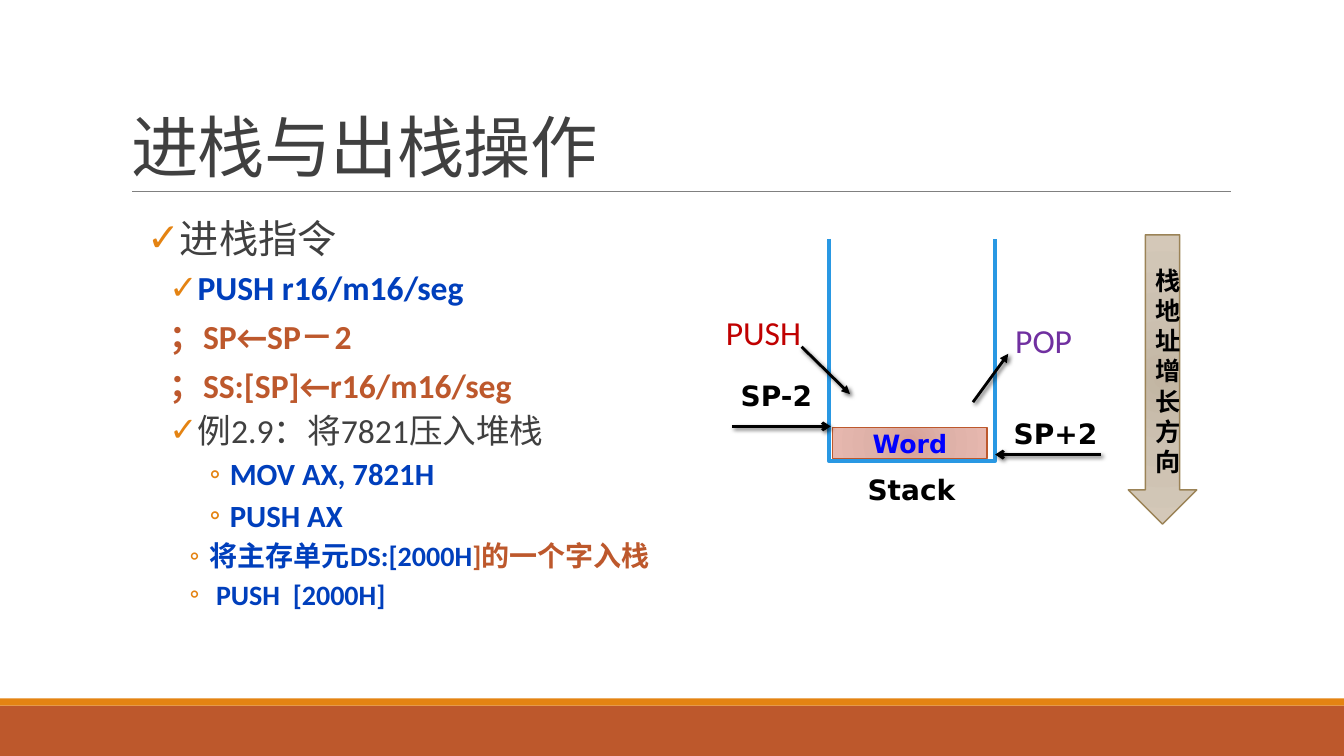
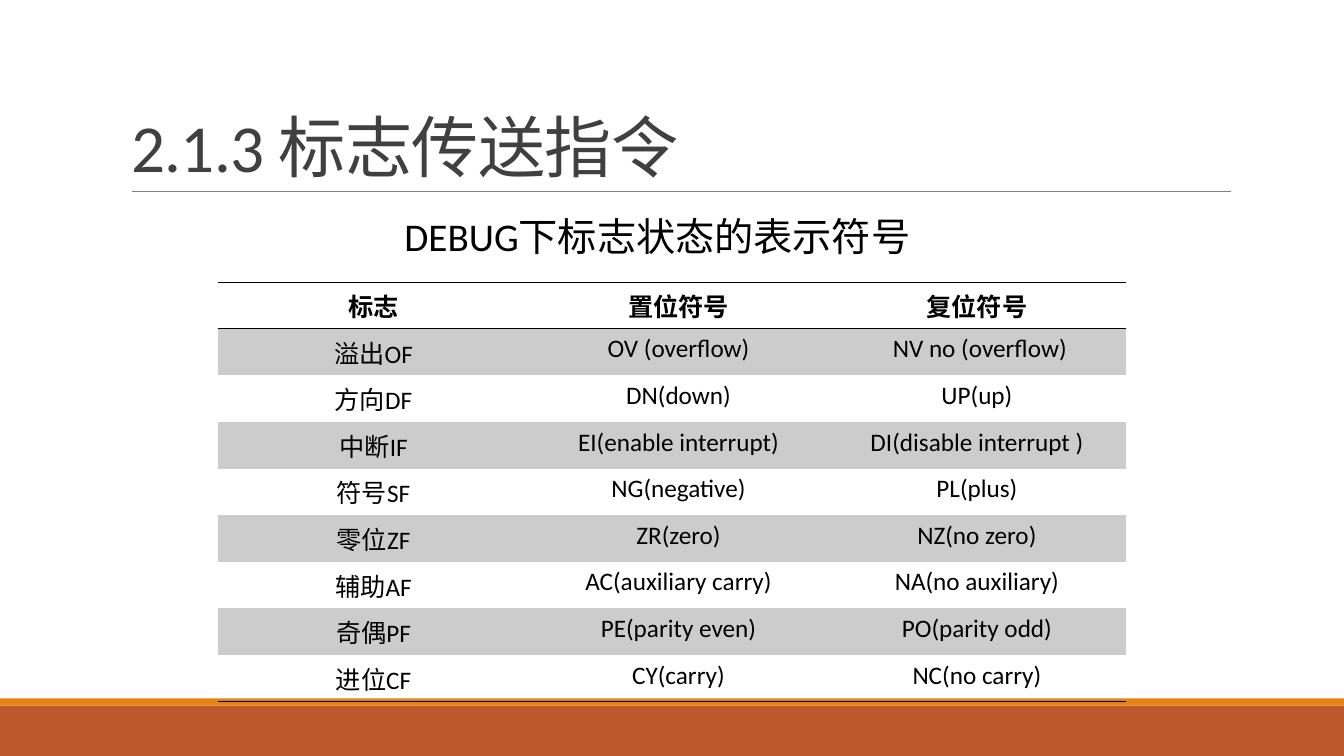
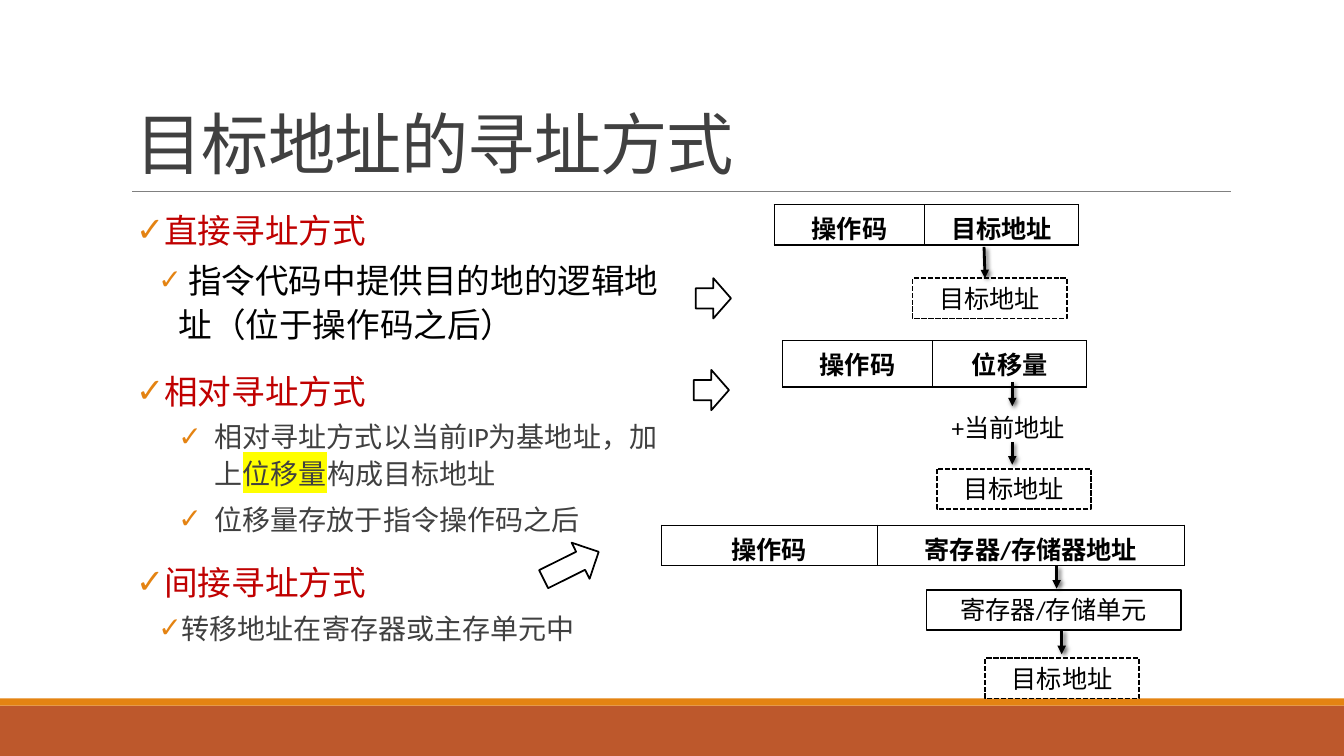
from pptx import Presentation
from pptx.dml.color import RGBColor
from pptx.enum.dml import MSO_LINE
from pptx.enum.shapes import MSO_CONNECTOR as CONN, MSO_SHAPE as SHAPE
from pptx.enum.text import MSO_ANCHOR as ANCHOR, MSO_AUTO_SIZE as AUTO, PP_ALIGN as ALIGN
from pptx.oxml import parse_xml
from pptx.oxml.ns import nsdecls, qn
from pptx.util import Inches, Pt

W, H = 13.33, 7.5
BLACK, WHITE = RGBColor(0, 0, 0), RGBColor(255, 255, 255)
RUST, ORANGE = RGBColor(0xBD, 0x58, 0x2C), RGBColor(0xE4, 0x83, 0x12)
DARK, GRAY, BAND = RGBColor(64, 64, 64), RGBColor(128, 128, 128), RGBColor(204, 204, 204)
NAVY, BLUE, SKY = RGBColor(0, 0x3F, 0xBC), RGBColor(0, 0, 255), RGBColor(0x29, 0x98, 0xE3)
RED, PURPLE = RGBColor(0xC0, 0, 0), RGBColor(0x70, 0x30, 0xA0)
TAN, YELLOW = RGBColor(0x9B, 0x83, 0x57), RGBColor(255, 255, 0)
PINK_FADE = ("D7A197", "DEB1A8", "E6B7AE")
TAN_FADE = ("C2B5A2", "CCC1B1", "D4C8B8")
SANS, MONO = "Calibri", "DejaVu Sans"
NO_GRID = "{2D5ABB26-0587-4C30-8999-92F81FD0307C}"

HEAD = dict(left=0.1, hang=0.1, before=12, after=2, bullet="✓")
SUB = dict(left=0.42, hang=0.2, before=2, after=4, bullet="✓")
SUB_CODE = SUB | dict(before=5)
EFFECT = dict(left=0.22, hang=0, before=5, after=4, bullet=None)
NOTE = SUB | dict(left=0.62, bullet="◦")
CODE = SUB | dict(left=0.82, bullet="◦")
DETAIL = SUB | dict(left=0.78, hang=0.36)


def look(size, color, bold=False, **more):
    return dict(size=size, color=color, bold=bold, **more)


PUSH_NOTES = [
    (HEAD, [("进栈指令", look(28, DARK))]),
    (SUB_CODE, [("PUSH r16/m16/seg", look(24, NAVY, True))]),
    (EFFECT, [("；SP←SP－2", look(24, RUST, True))]),
    (EFFECT, [("；SS:[SP]←r16/m16/seg", look(24, RUST, True))]),
    (SUB, [("例2.9：将7821压入堆栈", look(24, DARK))]),
    (CODE, [("MOV AX, 7821H", look(22, NAVY, True))]),
    (CODE, [("PUSH AX", look(22, NAVY, True))]),
    (NOTE, [("将主存单元DS:[2000H", look(20, NAVY, True)), ("]的一个字入栈", look(20, RUST, True))]),
    (NOTE, [(" PUSH  [2000H]", look(20, NAVY, True))]),
]
STACK_LABELS = [
    ("Stack", (8.43, 4.69, 1.22, 0.39)),
    ("SP-2", (7.26, 3.76, 0.88, 0.39)),
    ("SP+2", (10.03, 4.13, 0.88, 0.39)),
]
ACTIONS = [("PUSH", (7.1, 3.05, 1.18, 0.5), RED), ("POP", (9.97, 3.12, 1.18, 0.5), PURPLE)]
STACK_ARROWS = [
    ((7.26, 4.23, 8.24, 4.23), "arrow"),
    ((7.95, 3.44, 8.43, 3.91), "triangle"),
    ((9.65, 3.99, 10, 3.51), "triangle"),
    ((10.92, 4.51, 9.87, 4.51), "arrow"),
]

FLAGS = [
    ("标志", "置位符号", "复位符号"),
    ("溢出OF", "OV (overflow)", " NV no (overflow)"),
    ("方向DF", "DN(down)", "UP(up)"),
    ("中断IF", "EI(enable interrupt)", "DI(disable interrupt )"),
    ("符号SF", "NG(negative)", "PL(plus)"),
    ("零位ZF", "ZR(zero)", "NZ(no zero)"),
    ("辅助AF", "AC(auxiliary carry)", "NA(no auxiliary)"),
    ("奇偶PF", "PE(parity even)", "PO(parity odd)"),
    ("进位CF", "CY(carry)", "NC(no carry)"),
]

MODE_NOTES = [
    (HEAD, [("直接寻址方式", look(24, RED))]),
    (SUB, [(" ", look(20, RUST)), ("指令代码中提供目的地的逻辑地址（位于操作码之后）", look(24, BLACK))]),
    (HEAD, [("相对寻址方式", look(24, RED))]),
    (DETAIL, [("相对寻址方式以当前IP为基地址，加上", look(20, DARK)),
              ("位移量", look(20, DARK, mark=YELLOW)),
              ("构成目标地址", look(20, DARK))]),
    (DETAIL, [("位移量存放于指令操作码之后", look(20, DARK))]),
    (HEAD, [("间接寻址方式", look(24, RED))]),
    (SUB, [("转移地址在寄存器或主存单元中", look(20, DARK))]),
]
FORMATS = [
    (("操作码", "目标地址"), (7.68, 2.03), (1.49, 1.53), 0.4),
    (("操作码", "位移量"), (7.76, 3.38), (1.49, 1.53), 0.46),
    (("操作码", "寄存器/存储器地址"), (6.56, 5.21), (2.14, 3.05), 0.4),
]
BOXES = [
    ("目标地址", 9.05, 2.76, 1.53, True),
    ("目标地址", 9.29, 4.65, 1.53, True),
    ("目标地址", 9.77, 6.53, 1.53, True),
    ("寄存器/存储单元", 9.19, 5.85, 2.52, False),
]
MODE_ARROWS = [
    (9.76, 2.45, 9.77, 2.76), (10.04, 3.79, 10.04, 4.03), (10.04, 4.39, 10.04, 4.61),
    (10.48, 5.62, 10.48, 5.84), (10.53, 6.25, 10.53, 6.49),
]
POINTERS = [(6.9, 2.76, 0.35, 0), (6.88, 3.67, 0.35, 0), (5.36, 5.41, 0.61, 333.6)]


def inches(values):
    return [Inches(v) for v in values]


def write(p, text, size=18, color=BLACK, bold=False, font=SANS, mark=None, align=None, spacing=None):
    r = p.add_run()
    r.text = text
    r.font.size, r.font.bold, r.font.name = Pt(size), bold, font
    r.font.color.rgb = color
    if mark:
        r.font._element.find(qn("a:solidFill")).addnext(parse_xml(
            f'<a:highlight {nsdecls("a")}><a:srgbClr val="{mark}"/></a:highlight>'))
    if align is not None:
        p.alignment = align
    if spacing:
        p.line_spacing = spacing
    return r


def add_shape(slide, kind, box, fill=None, line=None, width=1.25, fade=None):
    sp = slide.shapes.add_shape(kind, *inches(box))
    sp.shadow.inherit = False
    if fade:
        sp.fill.gradient()
        stops = "".join(f'<a:gs pos="{pos}"><a:srgbClr val="{c}"/></a:gs>'
                        for pos, c in zip((0, 45000, 100000), fade))
        old = sp.element.spPr.find(qn("a:gradFill"))
        sp.element.spPr.replace(old, parse_xml(
            f'<a:gradFill {nsdecls("a")}><a:gsLst>{stops}</a:gsLst><a:path path="circle">'
            '<a:fillToRect l="100000" t="100000" r="100000" b="100000"/></a:path></a:gradFill>'))
    else:
        sp.fill.solid()
        sp.fill.fore_color.rgb = fill
    if line is None:
        sp.line.fill.background()
    else:
        sp.line.color.rgb = line
        sp.line.width = Pt(width)
    sp.text_frame.vertical_anchor = ANCHOR.MIDDLE
    return sp


def add_line(slide, ends, color=BLACK, width=2, head=None):
    cn = slide.shapes.add_connector(CONN.STRAIGHT, *inches(ends))
    cn.line.color.rgb = color
    cn.line.width = Pt(width)
    shadow = ""
    if head:
        cn.line._get_or_add_ln().append(parse_xml(f'<a:tailEnd {nsdecls("a")} type="{head}"/>'))
        shadow = ('<a:outerShdw blurRad="38100" dist="25400" dir="2700000" rotWithShape="0">'
                  '<a:srgbClr val="000000"><a:alpha val="60000"/></a:srgbClr></a:outerShdw>')
    cn.element.spPr.append(parse_xml(f'<a:effectLst {nsdecls("a")}>{shadow}</a:effectLst>'))
    return cn


def add_label(slide, text, box, wrap=True, anchor=ANCHOR.TOP, **fmt):
    tf = slide.shapes.add_textbox(*inches(box)).text_frame
    tf.word_wrap, tf.vertical_anchor = wrap, anchor
    if not wrap:
        tf.margin_left = tf.margin_right = 0
    write(tf.paragraphs[0], text, **fmt)


def add_notes(slide, notes, box, spacing):
    tf = slide.shapes.add_textbox(*inches(box)).text_frame
    tf.word_wrap = True
    tf.margin_left = tf.margin_right = 0
    for i, (style, runs) in enumerate(notes):
        p = tf.add_paragraph() if i else tf.paragraphs[0]
        p.line_spacing = spacing
        p.space_before, p.space_after = Pt(style["before"]), Pt(style["after"])
        pPr = p._p.get_or_add_pPr()
        pPr.set("marL", str(Inches(style["left"])))
        pPr.set("indent", str(-Inches(style["hang"])))
        if style["bullet"]:
            for tag in (f'buClr {nsdecls("a")}><a:srgbClr val="{ORANGE}"/></a:buClr>',
                        f'buFont {nsdecls("a")} typeface="{SANS}"/>',
                        f'buChar {nsdecls("a")} char="{style["bullet"]}"/>'):
                pPr.append(parse_xml("<a:" + tag))
        for text, fmt in runs:
            write(p, text, **fmt)


def add_table(slide, rows, at, cols, row_height, sides, fill, bold, bottom=0.05):
    size = (sum(cols), row_height * len(rows))
    frame = slide.shapes.add_table(len(rows), len(cols), *inches(at + size))
    table = frame.table
    table.first_row = table.horz_banding = False
    frame.element.find(".//" + qn("a:tableStyleId")).text = NO_GRID
    for col, width in zip(table.columns, cols):
        col.width = Inches(width)
    for i, row in enumerate(rows):
        table.rows[i].height = Inches(row_height)
        for j, text in enumerate(row):
            cell = table.cell(i, j)
            cell.margin_bottom = Inches(bottom)
            for side in sides(i):
                cell._tc.get_or_add_tcPr().append(parse_xml(
                    f'<a:ln{side} {nsdecls("a")} w="12700"><a:solidFill>'
                    f'<a:srgbClr val="{BLACK}"/></a:solidFill></a:ln{side}>'))
            color = fill(i)
            if color is None:
                cell.fill.background()
            else:
                cell.fill.solid()
                cell.fill.fore_color.rgb = color
            write(cell.text_frame.paragraphs[0], text, bold=bold(i), align=ALIGN.CENTER)


def decorate(slide):
    parts = [
        add_shape(slide, SHAPE.RECTANGLE, (0, 7, W, 0.5), RUST),
        add_shape(slide, SHAPE.RECTANGLE, (0, 6.93, W, 0.07), ORANGE),
        add_line(slide, (1.31, 1.9, 12.21, 1.9), GRAY, 0.5),
    ]
    for part in parts:
        slide.slide_layout.shapes.element.append(part.element)


def add_slide(prs, title, box):
    slide = prs.slides.add_slide(prs.slide_layouts[5])
    sp = slide.shapes.title
    sp.left, sp.top, sp.width, sp.height = inches(box)
    tf = sp.text_frame
    tf.word_wrap, tf.auto_size, tf.vertical_anchor = True, AUTO.NONE, ANCHOR.BOTTOM
    r = write(tf.paragraphs[0], title, size=48, color=DARK, align=ALIGN.LEFT, spacing=0.85)
    r.font._element.set("spc", "-50")
    return slide


def stack_slide(prs):
    slide = add_slide(prs, "进栈与出栈操作", (1.2, 0.97, 11, 0.93))
    decorate(slide)
    add_notes(slide, PUSH_NOTES, (1.46, 2.13, 5.49, 4.4), 0.9)
    left, top, right, bottom = inches((8.22, 2.37, 9.87, 4.57))
    fb = slide.shapes.build_freeform(left, top)
    fb.add_line_segments([(left, bottom), (right, bottom), (right, top)], close=False)
    stack = fb.convert_to_shape()
    stack.shadow.inherit = False
    stack.fill.background()
    stack.line.color.rgb, stack.line.width = SKY, Pt(3)
    word = add_shape(slide, SHAPE.RECTANGLE, (8.26, 4.24, 1.53, 0.31), line=RUST, width=1, fade=PINK_FADE)
    word.text_frame.word_wrap = False
    write(word.text_frame.paragraphs[0], "Word", color=BLUE, bold=True, font=MONO, align=ALIGN.CENTER)
    for text, box in STACK_LABELS:
        add_label(slide, text, box, wrap=False, anchor=ANCHOR.MIDDLE, size=20, bold=True,
                  font=MONO, align=ALIGN.CENTER, spacing=0.8)
    for text, box, color in ACTIONS:
        add_label(slide, text, box, size=24, color=color)
    for ends, head in STACK_ARROWS:
        add_line(slide, ends, head=head)
    growth = add_shape(slide, SHAPE.DOWN_ARROW, (11.19, 2.33, 0.68, 2.87), line=TAN, width=1, fade=TAN_FADE)
    write(growth.text_frame.paragraphs[0], "栈地址增长方向", bold=True, align=ALIGN.CENTER)


def flags_slide(prs):
    slide = add_slide(prs, "2.1.3 标志传送指令", (1.2, 0.31, 11, 1.59))
    last = len(FLAGS) - 1
    add_table(slide, FLAGS, (2.16, 2.8), (3.09, 2.96, 2.96), 0.41,
              sides=lambda i: "TB" if i == 0 else "B" if i == last else "",
              fill=lambda i: BAND if i % 2 else None, bold=lambda i: i == 0)
    add_label(slide, "DEBUG下标志状态的表示符号", (3.81, 2.06, 5.42, 0.57), size=28, align=ALIGN.CENTER)


def modes_slide(prs):
    slide = add_slide(prs, "目标地址的寻址方式", (1.24, 0.42, 11.5, 1.45))
    add_notes(slide, MODE_NOTES, (1.35, 1.99, 5.19, 4.79), 1.1)
    for cells, at, cols, height in FORMATS:
        add_table(slide, [cells], at, cols, height, sides=lambda i: "LRTB",
                  fill=lambda i: WHITE, bold=lambda i: True, bottom=0)
    add_label(slide, "+当前地址", (9.34, 4.04, 1.72, 0.4))
    for text, x, y, width, dashed in BOXES:
        sp = add_shape(slide, SHAPE.RECTANGLE, (x, y, width, 0.4), WHITE, BLACK)
        if dashed:
            sp.line.dash_style = MSO_LINE.SQUARE_DOT
        write(sp.text_frame.paragraphs[0], text, align=ALIGN.CENTER)
    for ends in MODE_ARROWS:
        add_line(slide, ends, head="triangle")
    for x, y, width, turn in POINTERS:
        add_shape(slide, SHAPE.RIGHT_ARROW, (x, y, width, 0.4), WHITE, BLACK).rotation = turn


def main():
    prs = Presentation()
    prs.slide_width, prs.slide_height = inches((W, H))
    stack_slide(prs)
    flags_slide(prs)
    modes_slide(prs)
    prs.save("out.pptx")


if __name__ == "__main__":
    main()
